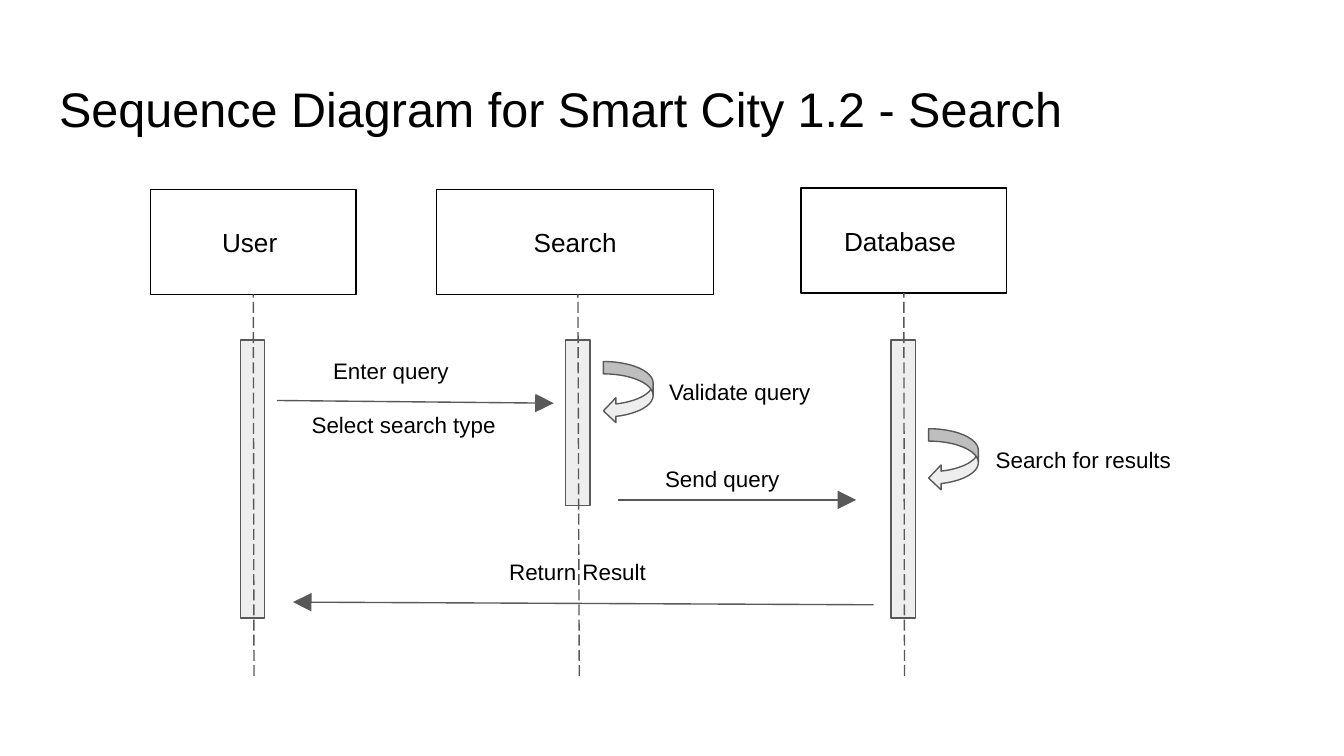
from typing import NamedTuple

from pptx import Presentation
from pptx.dml.color import RGBColor
from pptx.enum.dml import MSO_LINE
from pptx.enum.shapes import MSO_CONNECTOR, MSO_SHAPE
from pptx.enum.text import MSO_ANCHOR, PP_ALIGN
from pptx.oxml.ns import qn
from pptx.shapes.autoshape import Shape
from pptx.shapes.connector import Connector
from pptx.slide import Slide
from pptx.text.text import TextFrame
from pptx.util import Inches, Pt
from lxml.etree import SubElement

BLACK = RGBColor(0x00, 0x00, 0x00)
GRAY = RGBColor(0x59, 0x59, 0x59)
LIGHT = RGBColor(0xEE, 0xEE, 0xEE)
FONT = "Arial"
LINE_WIDTH = Pt(0.75)

HEAD_HEIGHT = 0.78
FIRST_AXIS, AXIS_STEP = 1.88, 2.42
BAR_TOP, BAR_WIDTH = 2.53, 0.18
LIFELINE_END = 5.03
LOOP_WIDTH, LOOP_HEIGHT = 0.37, 0.46
LABEL_HEIGHT = 0.32


class Participant(NamedTuple):
    name: str
    left: float
    top: float
    width: float
    bar_height: float

    @property
    def center(self) -> float:
        return self.left + self.width / 2


class Message(NamedTuple):
    start: tuple[float, float]
    end: tuple[float, float]


class Label(NamedTuple):
    text: str
    left: float
    top: float
    width: float


PARTICIPANTS = [
    Participant("User ", 1.12, 1.41, 1.53, 2.07),
    Participant("Search", 3.25, 1.41, 2.06, 1.23),
    Participant("Database ", 5.96, 1.4, 1.53, 2.07),
]
MESSAGES = [
    Message((2.06, 2.98), (4.12, 3.0)),
    Message((4.6, 3.72), (6.37, 3.72)),
    Message((6.5, 4.5), (2.18, 4.48)),
]
SELF_CALLS = [(4.49, 2.69), (6.91, 3.19)]
LABELS = [
    Label("Enter query", 2.38, 2.56, 1.16),
    Label("Select search type", 2.22, 2.96, 1.75),
    Label("Validate query", 4.88, 2.71, 1.41),
    Label("Send query", 4.85, 3.36, 1.09),
    Label("Search for results", 7.31, 3.22, 1.62),
    Label("Return Result", 3.69, 4.05, 1.49),
]


def write(frame: TextFrame, text: str, size: int, align: PP_ALIGN = PP_ALIGN.LEFT,
          anchor: MSO_ANCHOR = MSO_ANCHOR.TOP) -> None:
    frame.word_wrap = True
    frame.vertical_anchor = anchor
    frame.margin_left = frame.margin_right = Inches(0.1)
    frame.margin_top = frame.margin_bottom = Inches(0.1)
    para = frame.paragraphs[0]
    para.alignment = align
    span = para.add_run()
    span.text = text
    span.font.name = FONT
    span.font.size = Pt(size)
    span.font.color.rgb = BLACK


def add_box(page: Slide, kind: MSO_SHAPE, left: float, top: float, width: float,
            height: float, fill: RGBColor | None, line: RGBColor) -> Shape:
    box = page.shapes.add_shape(kind, Inches(left), Inches(top), Inches(width), Inches(height))
    box.shadow.inherit = False
    if fill is None:
        box.fill.background()
    else:
        box.fill.solid()
        box.fill.fore_color.rgb = fill
    box.line.color.rgb = line
    box.line.width = LINE_WIDTH
    return box


def add_line(page: Slide, start: tuple[float, float], end: tuple[float, float]) -> Connector:
    line = page.shapes.add_connector(
        MSO_CONNECTOR.STRAIGHT, *(Inches(value) for value in (*start, *end)))
    line.line.color.rgb = GRAY
    line.line.width = LINE_WIDTH
    SubElement(line._element.spPr, qn("a:effectLst"))
    return line


def add_head(page: Slide, person: Participant) -> Shape:
    """Draw the named box at the top of a lifeline."""
    head = add_box(page, MSO_SHAPE.RECTANGLE, person.left, person.top,
                   person.width, HEAD_HEIGHT, None, BLACK)
    write(head.text_frame, person.name, 14, PP_ALIGN.CENTER, MSO_ANCHOR.MIDDLE)
    return head


def add_lifeline(page: Slide, person: Participant, head: Shape, axis: float) -> None:
    """Draw the activation bar and dashed line, joined to a head centred on the axis."""
    add_box(page, MSO_SHAPE.RECTANGLE, axis - BAR_WIDTH / 2, BAR_TOP,
            BAR_WIDTH, person.bar_height, LIGHT, GRAY)
    line = add_line(page, (axis + 0.01, LIFELINE_END), (axis, person.top + HEAD_HEIGHT))
    line.line.dash_style = MSO_LINE.LONG_DASH
    if abs(axis - person.center) < 0.01:
        line.end_connect(head, 2)


def add_message(page: Slide, message: Message) -> None:
    arrow = add_line(page, message.start, message.end)
    SubElement(arrow.line._get_or_add_ln(), qn("a:tailEnd"),
               type="triangle", w="lg", len="lg")


def add_label(page: Slide, label: Label) -> None:
    box = page.shapes.add_textbox(Inches(label.left), Inches(label.top),
                                  Inches(label.width), Inches(LABEL_HEIGHT))
    write(box.text_frame, label.text, 12)


def main() -> None:
    deck = Presentation()
    deck.slide_width = Inches(10)
    deck.slide_height = deck.slide_width * 9 // 16
    page = deck.slides.add_slide(deck.slide_layouts[5])

    title = page.shapes.title
    title.left, title.top = Inches(0.34), Inches(0.49)
    title.width, title.height = Inches(9.32), Inches(0.63)
    write(title.text_frame, "Sequence Diagram for Smart City 1.2 - Search", 26)

    heads = [add_head(page, person) for person in PARTICIPANTS]
    for index, (person, head) in enumerate(zip(PARTICIPANTS, heads)):
        add_lifeline(page, person, head, FIRST_AXIS + index * AXIS_STEP)
    for message in MESSAGES:
        add_message(page, message)
    for left, top in SELF_CALLS:
        add_box(page, MSO_SHAPE.CURVED_LEFT_ARROW, left, top,
                LOOP_WIDTH, LOOP_HEIGHT, LIGHT, GRAY)
    for label in LABELS:
        add_label(page, label)

    deck.save("out.pptx")


if __name__ == "__main__":
    main()
